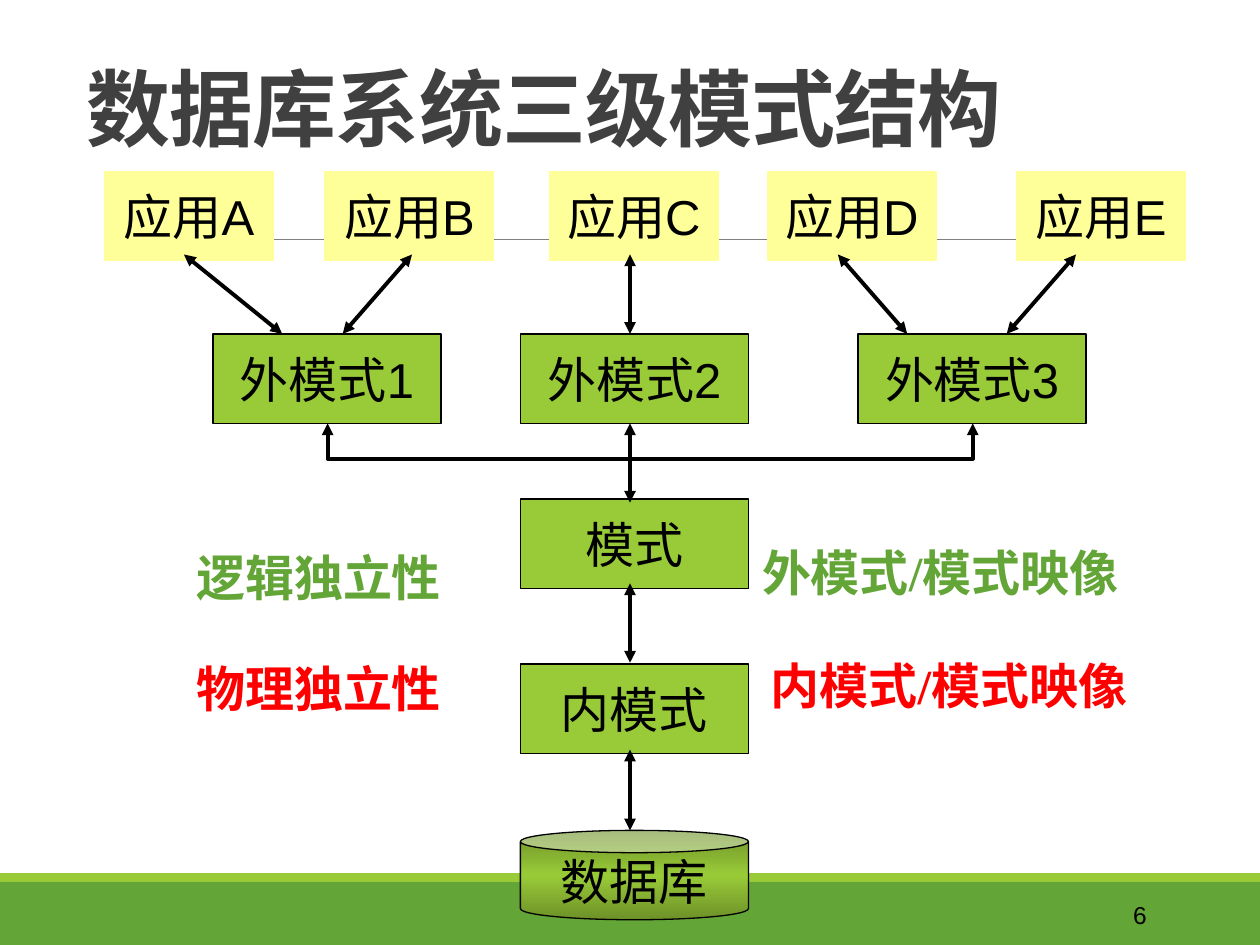
"""Build a slide on the three-level schema structure of a database system."""
from copy import deepcopy

from lxml.etree import SubElement
from pptx import Presentation
from pptx.dml.color import RGBColor
from pptx.enum.shapes import MSO_CONNECTOR, MSO_SHAPE
from pptx.enum.text import MSO_ANCHOR, PP_ALIGN
from pptx.oxml.ns import qn
from pptx.util import Inches, Pt

BLACK = RGBColor(0x00, 0x00, 0x00)
GRAY = RGBColor(0x80, 0x80, 0x80)
DARK = RGBColor(0x40, 0x40, 0x40)
GREEN = RGBColor(0x63, 0xA5, 0x37)
LIME = RGBColor(0x99, 0xCB, 0x38)
OLIVE = RGBColor(0x6D, 0x91, 0x28)
YELLOW = RGBColor(0xFF, 0xFF, 0x99)
RED = RGBColor(0xFF, 0x00, 0x00)

TITLE = "数据库系统三级模式结构"
PAGE = "6"
BOX_H, APP_W, SCHEMA_W = 0.71, 1.34, 1.81
APP_Y, EXTERNAL_Y, CENTER_X = 1.36, 2.65, 4.13
APPS = [("应用A", 0.83), ("应用B", 2.58), ("应用C", 4.36), ("应用D", 6.09), ("应用E", 8.07)]
SCHEMAS = [
    ("外模式1", 1.69, EXTERNAL_Y), ("外模式2", CENTER_X, EXTERNAL_Y),
    ("外模式3", 6.81, EXTERNAL_Y), ("模式", CENTER_X, 3.96), ("内模式", CENTER_X, 5.27),
]
DATABASE = ("数据库", CENTER_X, 6.59)
APP_LINKS = [(1.46, 2.24), (3.27, 2.72), (5, 5), (6.65, 7.2), (8.54, 7.99)]
LEVEL_LINKS = [(3.36, 3.99), (4.63, 5.26), (5.95, 6.59)]
BRANCH = [(2.6, 3.36), (2.6, 3.64), (7.72, 3.64), (7.72, 3.36)]
LABELS = [
    ("内模式/模式映像", 6.02, 5.15, 3.23, RED),
    ("外模式/模式映像", 5.95, 4.26, 3.23, GREEN),
    ("物理独立性", 1.46, 5.18, 2.5, RED),
    ("逻辑独立性", 1.46, 4.3, 2.67, GREEN),
]


def write(sp, text, size, font, color, bold=False, align=PP_ALIGN.LEFT,
          anchor=MSO_ANCHOR.TOP, wrap=True):
    tf = sp.text_frame
    tf.word_wrap = wrap
    tf.vertical_anchor = anchor
    p = tf.paragraphs[0]
    p.alignment = align
    r = p.add_run()
    r.text = text
    r.font.size = Pt(size)
    r.font.name = font
    r.font.bold = bold
    r.font.color.rgb = color
    return p, r


def add_text(s, box, *args, **kwargs):
    return write(s.shapes.add_textbox(*map(Inches, box)), *args, **kwargs)


def add_box(s, kind, box, fill, line=None, text=None):
    sp = s.shapes.add_shape(kind, *map(Inches, box))
    sp.shadow.inherit = False
    sp.fill.solid()
    sp.fill.fore_color.rgb = fill
    if line is None:
        sp.line.fill.background()
    else:
        sp.line.color.rgb = line
        sp.line.width = Pt(0.75)
    if text:
        write(sp, text, 28, "Arial", BLACK, align=PP_ALIGN.CENTER,
              anchor=MSO_ANCHOR.MIDDLE, wrap=False)
    return sp


def shade(sp, colors):
    sp.fill.gradient()
    sp.fill.gradient_angle = 90
    first = sp.fill.gradient_stops[0]
    stops = sp.element.spPr.find(qn("a:gradFill")).find(qn("a:gsLst"))
    first.color.rgb = colors[0]
    while len(stops) > 1:
        stops.remove(stops[-1])
    for _ in colors[1:]:
        stops.append(deepcopy(stops[0]))
    for i, (stop, color) in enumerate(zip(sp.fill.gradient_stops, colors)):
        stop.color.rgb = color
        stop.position = i / (len(colors) - 1)


def add_arrowheads(sp):
    sp.line.color.rgb = BLACK
    sp.line.width = Pt(2.25)
    ln = sp.line._get_or_add_ln()
    for end in ("a:headEnd", "a:tailEnd"):
        SubElement(ln, qn(end), type="triangle")


def add_line(s, x1, y1, x2, y2):
    sp = s.shapes.add_connector(MSO_CONNECTOR.STRAIGHT, *map(Inches, (x1, y1, x2, y2)))
    SubElement(sp.element.spPr, qn("a:effectLst"))
    return sp


def main():
    prs = Presentation()
    prs.slide_width, prs.slide_height = Inches(10), Inches(7.5)
    s = prs.slides.add_slide(prs.slide_layouts[6])

    add_box(s, MSO_SHAPE.RECTANGLE, (0, 7, 10, 0.5), GREEN)
    add_box(s, MSO_SHAPE.RECTANGLE, (0, 6.93, 10, 0.07), LIME)
    rule = add_line(s, 0.98, 1.9, 9.15, 1.9)
    rule.line.color.rgb = GRAY
    rule.line.width = Pt(0.5)

    p, r = add_text(s, (0.59, 0.05, 9, 1.25), TITLE, 48, "Calibri", DARK, bold=True,
                    anchor=MSO_ANCHOR.BOTTOM)
    p.line_spacing = 0.85
    r.font._element.set("spc", "-50")
    add_text(s, (8.12, 7.06, 1.08, 0.4), PAGE, 14, "Arial", BLACK,
             align=PP_ALIGN.RIGHT, anchor=MSO_ANCHOR.MIDDLE)

    name, x, y = DATABASE
    can = add_box(s, MSO_SHAPE.CAN, (x, y, SCHEMA_W, BOX_H), LIME, BLACK, name)
    can.adjustments[0] = 0.25
    shade(can, [OLIVE, LIME, OLIVE])
    for name, x, y in SCHEMAS:
        add_box(s, MSO_SHAPE.RECTANGLE, (x, y, SCHEMA_W, BOX_H), LIME, BLACK, name)
    for name, x in APPS:
        add_box(s, MSO_SHAPE.RECTANGLE, (x, APP_Y, APP_W, BOX_H), YELLOW, YELLOW, name)

    for y1, y2 in LEVEL_LINKS:
        add_arrowheads(add_line(s, 5, y1, 5, y2))
    for x1, x2 in APP_LINKS:
        add_arrowheads(add_line(s, x1, 2.02, x2, EXTERNAL_Y))
    points = [(Inches(x), Inches(y)) for x, y in BRANCH]
    builder = s.shapes.build_freeform(*points[0])
    builder.add_line_segments(points[1:], close=False)
    branch = builder.convert_to_shape()
    branch.shadow.inherit = False
    branch.fill.background()
    add_arrowheads(branch)

    for text, x, y, w, color in LABELS:
        add_text(s, (x, y, w, 0.57), text, 28, "Times New Roman", color, bold=True)

    prs.save("out.pptx")


if __name__ == "__main__":
    main()
